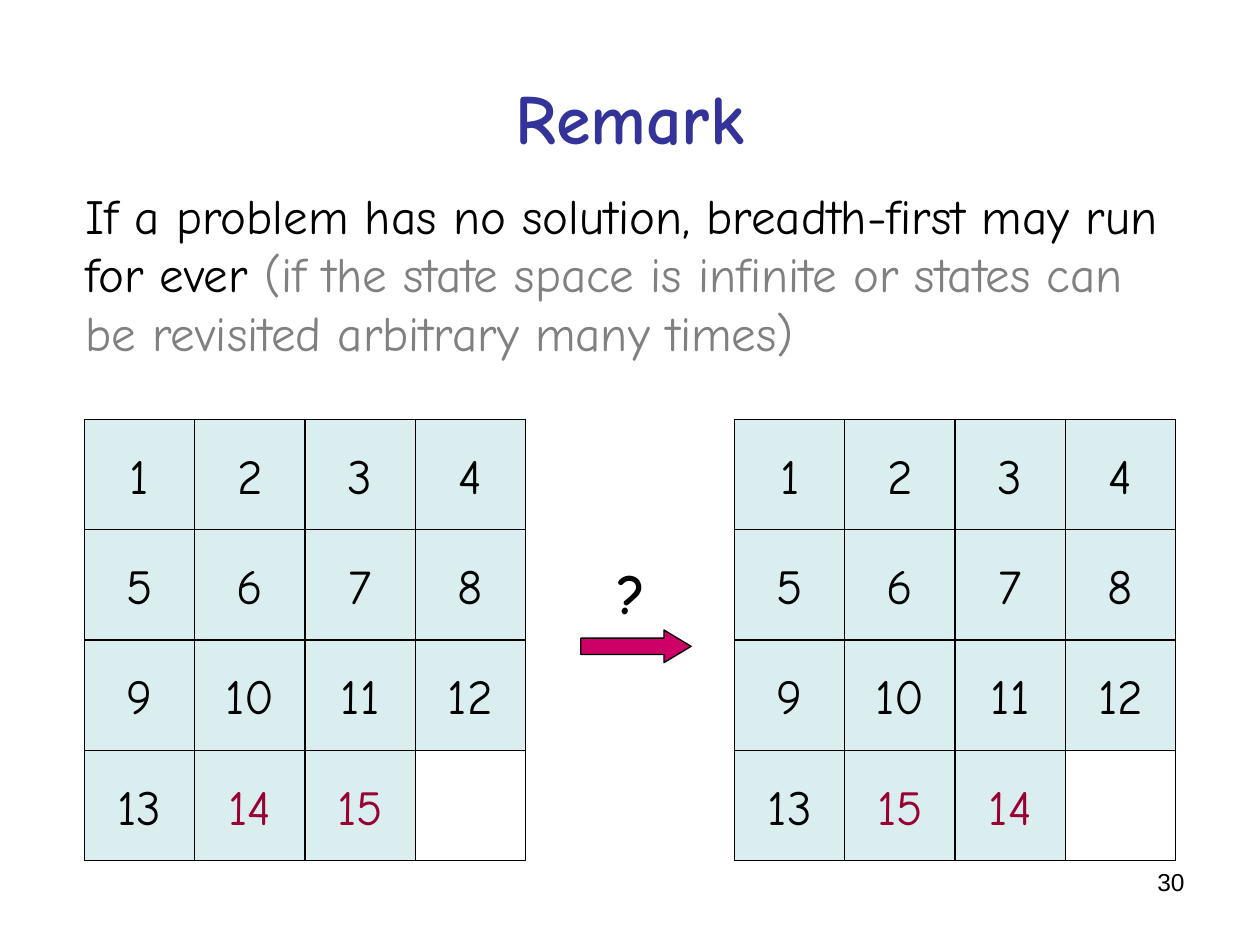
from pptx import Presentation
from pptx.dml.color import RGBColor
from pptx.enum.shapes import MSO_SHAPE
from pptx.enum.text import MSO_ANCHOR, PP_ALIGN
from pptx.util import Inches, Pt

COLORS = {
    "title": "333399",
    "text": "000000",
    "aside": "808080",
    "tile": "DAEEF0",
    "swapped": "990033",
    "arrow": "CC0066",
}
FONT = "Comic Neue"
SIDE = 4
TILE = 0.875
BOARD_TOP = 3.33
START = [*range(1, 16)]
GOAL = [*range(1, 14), 15, 14]


def color(name):
    """Return the named colour of the palette."""
    return RGBColor.from_string(COLORS[name])


def write(shape, *parts, size=28, font=FONT, bold=False,
          align=PP_ALIGN.LEFT, anchor=MSO_ANCHOR.TOP, wrap=True):
    """Fill a shape with one paragraph of (text, colour name) parts."""
    frame = shape.text_frame
    frame.word_wrap = wrap
    frame.vertical_anchor = anchor
    paragraph = frame.paragraphs[0]
    paragraph.alignment = align
    for text, tone in parts:
        run = paragraph.add_run()
        run.text = text
        run.font.name = font
        run.font.size = Pt(size)
        run.font.bold = bold
        run.font.color.rgb = color(tone)


def add_text(shapes, box, *parts, **style):
    """Add a text box at the given box in inches."""
    write(shapes.add_textbox(*map(Inches, box)), *parts, **style)


def add_outlined(shapes, kind, box, fill=None):
    """Add a thinly outlined preset shape, unfilled by default."""
    shape = shapes.add_shape(kind, *map(Inches, box))
    shape.shadow.inherit = False
    shape.line.color.rgb = color("text")
    shape.line.width = Pt(0.75)
    if fill:
        shape.fill.solid()
        shape.fill.fore_color.rgb = color(fill)
    else:
        shape.fill.background()
    return shape


def add_board(slide, left, numbers):
    """Add a sliding puzzle as a group, its last square left empty."""
    board = slide.shapes.add_group_shape().shapes
    add_outlined(board, MSO_SHAPE.RECTANGLE,
                 (left, BOARD_TOP, SIDE * TILE, SIDE * TILE))
    for index, number in enumerate(numbers):
        row, column = divmod(index, SIDE)
        box = (left + column * TILE, BOARD_TOP + row * TILE, TILE, TILE)
        tile = add_outlined(board, MSO_SHAPE.RECTANGLE, box, "tile")
        tone = "swapped" if number in (14, 15) else "text"
        write(tile, (str(number), tone), align=PP_ALIGN.CENTER,
              anchor=MSO_ANCHOR.MIDDLE, wrap=False)


def add_question(slide):
    """Add the arrow between the boards with its question mark."""
    question = slide.shapes.add_group_shape().shapes
    arrow = add_outlined(question, MSO_SHAPE.RIGHT_ARROW,
                         (4.61, 5, TILE, 0.26), "arrow")
    arrow.adjustments[1] = 0.83
    add_text(question, (4.8, 4.38, 0.42, 0.64), ("?", "text"),
             size=32, bold=True, wrap=False)


def main():
    """Build and save the slide."""
    deck = Presentation()
    deck.slide_width, deck.slide_height = Inches(10), Inches(7.5)
    slide = deck.slides.add_slide(deck.slide_layouts[5])
    title = slide.shapes.title
    title.left, title.top = Inches(0.5), Inches(0.3)
    title.width, title.height = Inches(9), Inches(1.25)
    write(title, ("Remark", "title"), size=40, bold=True,
          align=PP_ALIGN.CENTER, anchor=MSO_ANCHOR.MIDDLE)
    add_text(slide.shapes, (0.58, 1.42, 8.83, 1.6),
             ("If a problem has no solution, breadth-first may run for ever ",
              "text"),
             ("(if the state space is infinite or states can be revisited "
              "arbitrary many times)", "aside"))
    add_board(slide, 5.83, GOAL)
    add_board(slide, 0.67, START)
    add_question(slide)
    add_text(slide.shapes, (7.17, 6.83, 2.33, 0.52), ("30", "text"),
             size=14, font="Arial", align=PP_ALIGN.RIGHT)
    deck.save("out.pptx")


if __name__ == "__main__":
    main()
